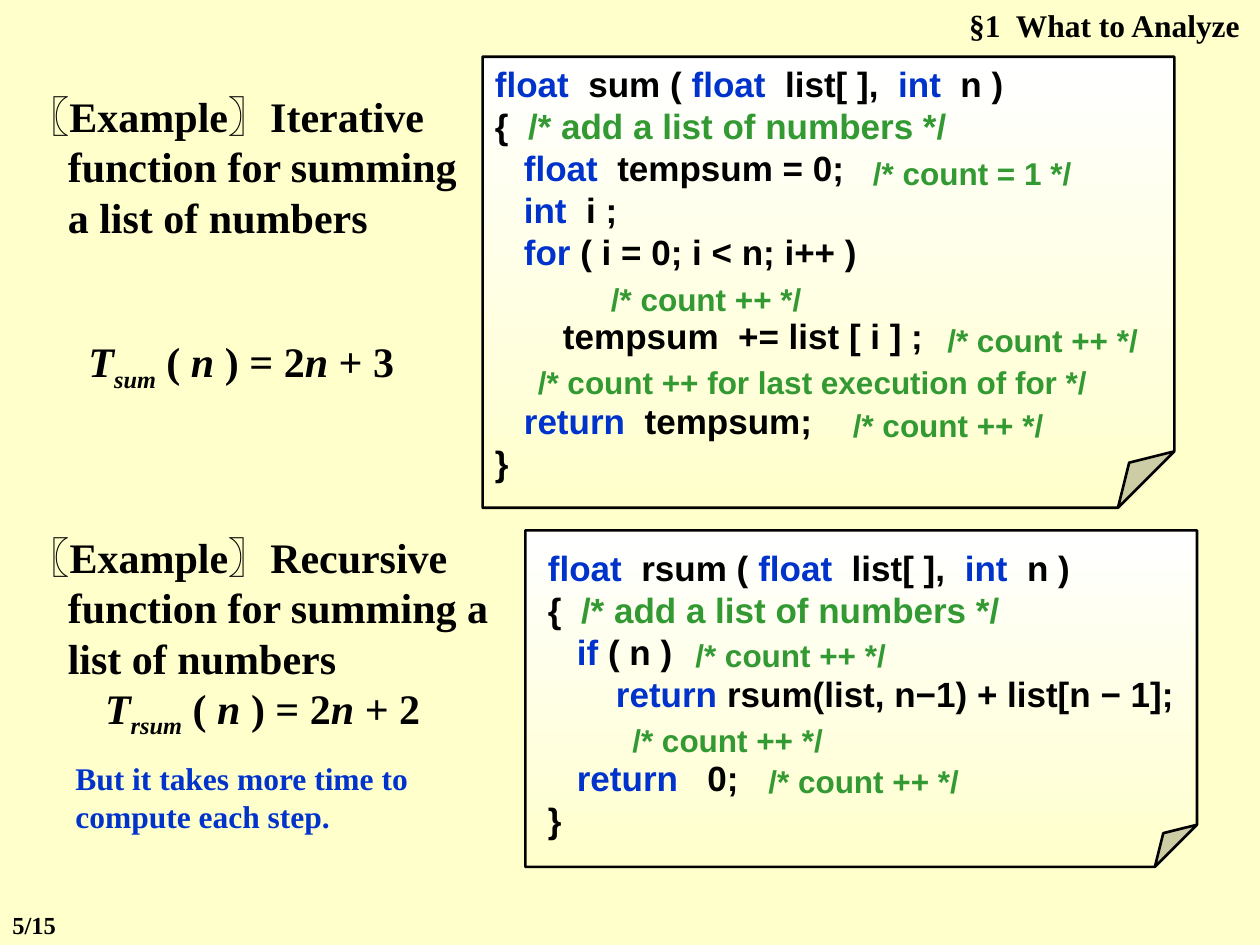
from dataclasses import dataclass

from lxml.etree import SubElement
from pptx import Presentation
from pptx.dml.color import RGBColor as RGB
from pptx.enum.shapes import MSO_SHAPE as SHAPE
from pptx.enum.text import MSO_AUTO_SIZE as AUTO, PP_ALIGN as ALIGN
from pptx.oxml.ns import qn
from pptx.util import Inches, Pt


@dataclass(frozen=True)
class Theme:
    """Colours, fonts and type sizes of the slide."""
    paper: RGB = RGB.from_string("FFFFCC")
    white: RGB = RGB.from_string("FFFFFF")
    ink: RGB = RGB.from_string("000000")
    keyword: RGB = RGB.from_string("0033CC")
    comment: RGB = RGB.from_string("339933")
    serif: str = "Times New Roman"
    sans: str = "Arial"
    heading: int = 24
    code: int = 20
    note: int = 18
    footer: int = 14
    leading: float = 1.2


T = Theme()

SUM_CODE = [
    (0, 0, "`float`  sum ( `float`  list[ ],  `int`  n )"),
    (0, 0, "{  `/* add a list of numbers */`"),
    (1, 0, "`float`  tempsum = 0;"),
    (1, 0, "`int`  i ;"),
    (1, 0, "`for` ( i = 0; i < n; i++ )"),
    (2, 1, "tempsum  += list [ i ] ;"),
    (1, 1, "`return`  tempsum;"),
    (0, 0, "}"),
]
RSUM_CODE = [
    (0, 0, "`float`  rsum ( `float`  list[ ],  `int`  n )"),
    (0, 0, "{  `/* add a list of numbers */`"),
    (1, 0, "`if` ( n )"),
    (2, 0, "`return` rsum(list, n−1) + list[n − 1];"),
    (1, 1, "`return`   0;"),
    (0, 0, "}"),
]
CODE_INDENTS = (0, 0.23, 0.54)

COUNT = "/* count ++ */"
COMMENTS = [
    (6.83, 1.17, 1.83, "/* count = 1 */"),
    (7.42, 2.5, 1.83, COUNT),
    (4.17, 2.83, 4.83, "/* count ++ for last execution of for */"),
    (6.67, 3.17, 1.83, COUNT),
    (4.75, 2.17, 1.83, COUNT),
    (5.42, 5, 1.83, COUNT),
    (4.92, 5.67, 1.83, COUNT),
    (6, 6, 1.83, COUNT),
]


def add_frame(shapes, x, y, w, h, left=0.1, right=0.1):
    """Add a wrapping text box and return its text frame."""
    tf = shapes.add_textbox(Inches(x), Inches(y), Inches(w), Inches(h)).text_frame
    tf.word_wrap = True
    tf.auto_size = AUTO.SHAPE_TO_FIT_TEXT
    tf.margin_left, tf.margin_right = Inches(left), Inches(right)
    return tf


def write(tf, text, size=T.heading, font=T.serif, color=T.ink, align=ALIGN.LEFT,
          before=0, indent=0, hang=0):
    """Write a paragraph; text is a string or a list of (text, format) runs."""
    p = tf.paragraphs[0]
    if p.runs:
        p = tf.add_paragraph()
    p.alignment = align
    p.space_before, p.line_spacing = Pt(before), Pt(size * T.leading)
    pPr = p._p.get_or_add_pPr()
    pPr.set("marL", str(Inches(indent)))
    pPr.set("indent", str(-Inches(hang)))
    for part, fmt in [(text, {})] if isinstance(text, str) else text:
        r = p.add_run()
        r.text = part
        f = r.font
        f.name, f.size, f.bold = font, Pt(size), True
        f.italic = fmt.get("italic", False)
        f.color.rgb = fmt.get("color", color)
        if fmt.get("sub"):
            r._r.get_or_add_rPr().set("baseline", "-25000")


def code_runs(line):
    """Split a code line at backticks into coloured runs."""
    runs = []
    for i, part in enumerate(line.split("`")):
        marked = T.comment if part.startswith("/*") else T.keyword
        if part:
            runs.append((part, {"color": marked if i % 2 else T.ink}))
    return runs


def formula_runs(name, constant):
    """Return the runs of a running-time formula."""
    var = {"italic": True}
    return [("T", var), (name, {"italic": True, "sub": True}), (" (", {}),
            (" n", var), (" ) = 2", {}), ("n", var), (f" + {constant}", {})]


def add_listing(s, note, frame, lines):
    """Add a folded note with a code listing on it."""
    group = s.shapes.add_group_shape().shapes
    sp = group.add_shape(SHAPE.FOLDED_CORNER, *map(Inches, note))
    fold = sp._element.find(".//" + qn("a:avLst"))
    SubElement(fold, qn("a:gd"), name="adj", fmla="val 12500")
    sp.shadow.inherit = False
    sp.fill.gradient()
    sp.fill.gradient_angle = 270
    for stop, position, color in zip(sp.fill.gradient_stops, (0, 1), (T.white, T.paper)):
        stop.position, stop.color.rgb = position, color
    sp.line.color.rgb, sp.line.width = T.ink, Pt(1.5)
    tf = add_frame(group, *frame)
    for level, skipped, line in lines:
        write(tf, code_runs(line), size=T.code, font=T.sans,
              indent=CODE_INDENTS[level], before=skipped * T.code * T.leading)


def add_example(s, y, w, kind):
    """Add the heading of an example with a hanging indent."""
    tf = add_frame(s.shapes, 0.12, y, w, 1.3)
    write(tf, f"〖Example〗{kind} function for summing a list of numbers",
          indent=0.32, hang=0.32)


def add_formula(s, x, y, h, name, constant):
    """Add a centred formula and return its text frame."""
    tf = add_frame(s.shapes, x, y, 3.17, h)
    write(tf, formula_runs(name, constant), align=ALIGN.CENTER)
    return tf


def main():
    """Build the slide and save it."""
    prs = Presentation()
    prs.slide_width, prs.slide_height = Inches(10), Inches(7.5)
    s = prs.slides.add_slide(prs.slide_layouts[6])
    s.background.fill.solid()
    s.background.fill.fore_color.rgb = T.paper

    add_example(s, 0.67, 3.8, "Iterative")
    add_listing(s, (3.83, 0.45, 5.49, 3.58), (3.83, 0.45, 5.67, 3.44), SUM_CODE)
    add_formula(s, 0.33, 2.67, 0.56, "sum", 3)

    add_example(s, 4.17, 4.25, "Recursive")
    add_listing(s, (4.17, 4.21, 5.33, 2.67), (4.25, 4.29, 5.42, 2.44), RSUM_CODE)
    tf = add_formula(s, 0.5, 5.42, 1.31, "rsum", 2)
    write(tf, "But it takes more time to compute each step.", size=T.note,
          color=T.keyword, before=11.2)

    for x, y, w, text in COMMENTS:
        write(add_frame(s.shapes, x, y, w, 0.4), text, size=T.note,
              font=T.sans, color=T.comment)

    write(add_frame(s.shapes, 7.17, 0, 2.83, 0.4, left=0.12, right=0.16),
          "§1  What to Analyze", size=T.note, align=ALIGN.RIGHT)
    write(add_frame(s.shapes, 0, 7.17, 0.67, 0.34), "5/15", size=T.footer)
    prs.save("out.pptx")


if __name__ == "__main__":
    main()
